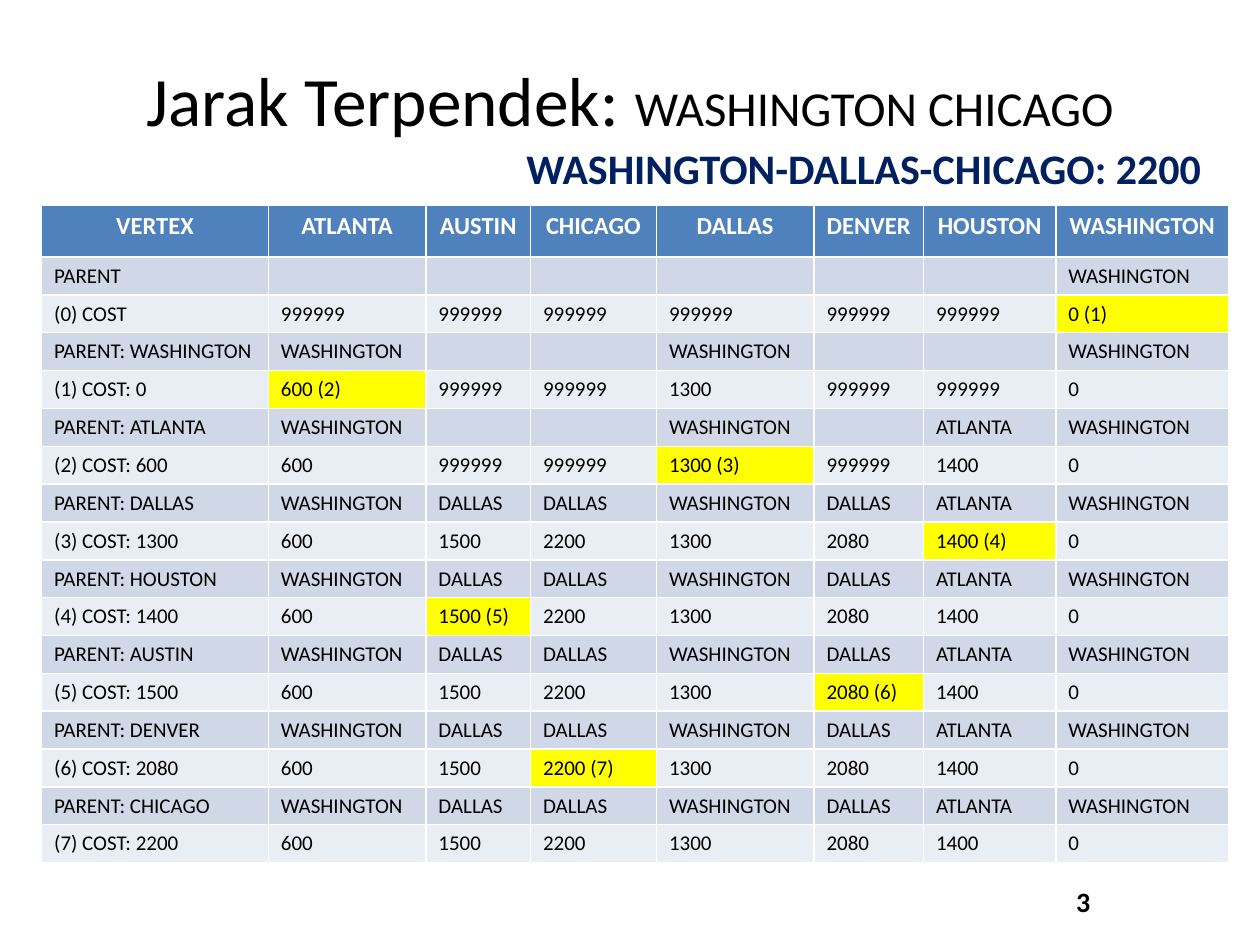
from lxml.etree import SubElement
from pptx import Presentation
from pptx.dml.color import RGBColor
from pptx.enum.text import MSO_ANCHOR as Anchor, MSO_AUTO_SIZE as AutoSize, PP_ALIGN as Align
from pptx.oxml.ns import qn
from pptx.util import Inches, Pt

BLACK = RGBColor(0x00, 0x00, 0x00)
WHITE = RGBColor(0xFF, 0xFF, 0xFF)
NAVY = RGBColor(0x00, 0x20, 0x60)
HEADER_BLUE = RGBColor(0x4F, 0x81, 0xBD)
PARENT_BLUE = RGBColor(0xD0, 0xD8, 0xE8)
COST_BLUE = RGBColor(0xE9, 0xED, 0xF4)
YELLOW = RGBColor(0xFF, 0xFF, 0x00)


def add_text(paragraph, text, size, color=BLACK, bold=False):
    run = paragraph.add_run()
    run.text = text
    run.font.color.rgb = color
    style = {"name": "Calibri", "size": Pt(size), "bold": bold}
    for name, value in style.items():
        setattr(run.font, name, value)


def fill_cell(cell, text, fill, size=12, color=BLACK, bold=False):
    cell.fill.solid()
    cell.fill.fore_color.rgb = fill
    paragraph = cell.text_frame.paragraphs[0]
    if text:
        add_text(paragraph, text, size, color, bold)
    else:
        SubElement(paragraph._p, qn("a:endParaRPr"), sz=str(size * 100))
    return paragraph


prs = Presentation()
prs.slide_width, prs.slide_height = Inches(10), Inches(7.5)
slide = prs.slides.add_slide(prs.slide_layouts[5])

title = slide.shapes.title
title_place = {"left": 0.5, "top": 0.42, "width": 9, "height": 0.72}
for side, inches in title_place.items():
    setattr(title, side, Inches(inches))
title_format = {"auto_size": AutoSize.NONE, "vertical_anchor": Anchor.MIDDLE, "word_wrap": True}
for name, value in title_format.items():
    setattr(title.text_frame, name, value)
heading = title.text_frame.paragraphs[0]
heading.alignment = Align.CENTER
add_text(heading, "Jarak Terpendek: ", 39.6)
add_text(heading, "WASHINGTON CHICAGO", 27.9)

page_box = slide.shapes.add_textbox(Inches(7.17), Inches(6.95), Inches(1.58), Inches(0.4))
page_box.text_frame.word_wrap = True
page_box.text_frame.vertical_anchor = Anchor.MIDDLE
page_number = page_box.text_frame.paragraphs[0]
page_number.alignment = Align.RIGHT
add_text(page_number, "3", 16, bold=True)

cities = ["ATLANTA", "AUSTIN", "CHICAGO", "DALLAS", "DENVER", "HOUSTON", "WASHINGTON"]
visits = ["WASHINGTON", "ATLANTA", "DALLAS", "HOUSTON", "AUSTIN", "DENVER", "CHICAGO"]
updates = {
    "WASHINGTON": {"ATLANTA": 600, "DALLAS": 1300},
    "ATLANTA": {"HOUSTON": 1400},
    "DALLAS": {"AUSTIN": 1500, "CHICAGO": 2200, "DENVER": 2080},
}
parents = dict.fromkeys(cities, "") | {"WASHINGTON": "WASHINGTON"}
costs = dict.fromkeys(cities, 999999) | {"WASHINGTON": 0}

widths = [1.8, 1.25, 0.83, 1, 1.25, 0.87, 1.05, 1.37]
row_count = 1 + 2 * (len(visits) + 1)
distances = slide.shapes.add_table(
    row_count + 0, len(widths), Inches(0.33), Inches(1.63), Inches(9.42), Inches(5.21)
).table
for column, width in zip(distances.columns, widths):
    column.width = Inches(width)
for row in distances.rows:
    row.height = Inches(0.3)
distances.rows[0].height = Inches(0.41)

for col, city in enumerate(["VERTEX"] + cities):
    fill_cell(distances.cell(0, col), city, HEADER_BLUE, 14, WHITE, True).alignment = Align.CENTER

for step, visited in enumerate([""] + visits):
    for city, cost in updates.get(visited, {}).items():
        parents[city], costs[city] = visited, cost
    parent_row = 1 + 2 * step
    cost_row = parent_row + 1
    next_city = visits[step] if step < len(visits) else ""
    parent_label = f"PARENT: {visited}" if visited else "PARENT"
    cost_label = f"({step}) COST: {costs[visited]}" if visited else f"({step}) COST"
    fill_cell(distances.cell(parent_row, 0), parent_label, PARENT_BLUE)
    fill_cell(distances.cell(cost_row, 0), cost_label, COST_BLUE)
    for col, city in enumerate(cities, 1):
        fill_cell(distances.cell(parent_row, col), parents[city], PARENT_BLUE)
        chosen = city == next_city
        cost_text = f"{costs[city]} ({step + 1})" if chosen else str(costs[city])
        fill_cell(distances.cell(cost_row, col), cost_text, YELLOW if chosen else COST_BLUE)

route_box = slide.shapes.add_textbox(Inches(4.08), Inches(1.08), Inches(5.6), Inches(0.5))
route_box.text_frame.word_wrap = False
route_box.text_frame.auto_size = AutoSize.SHAPE_TO_FIT_TEXT
add_text(route_box.text_frame.paragraphs[0], "WASHINGTON-DALLAS-CHICAGO: 2200", 24, NAVY, True)

prs.save("out.pptx")
